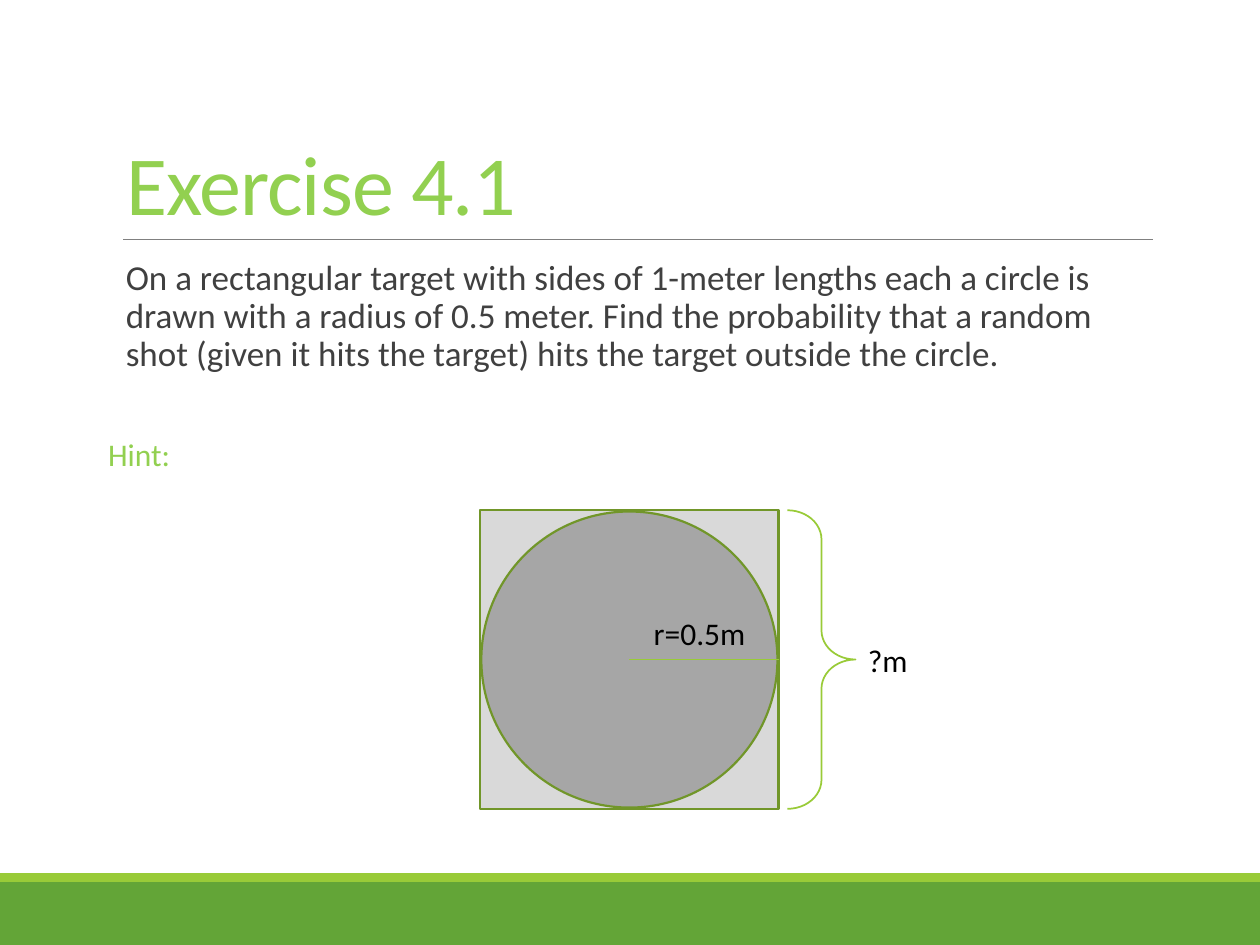
from lxml import etree
from pptx import Presentation
from pptx.dml.color import RGBColor
from pptx.enum.shapes import MSO_CONNECTOR as Connector, MSO_SHAPE as Preset
from pptx.enum.text import MSO_ANCHOR as Anchor, MSO_AUTO_SIZE as AutoSize, PP_ALIGN as Align
from pptx.oxml.ns import qn
from pptx.util import Inches, Pt

GREEN, LIME, DARK_GREEN, BRIGHT = "63A537", "99CB38", "719629", "92D050"


def color(value):
    return RGBColor.from_string(value)


def add_shape(page, preset, bounds, fill=None, line=None, width=1.25):
    shape = page.shapes.add_shape(preset, *map(Inches, bounds))
    shape.shadow.inherit = False
    if fill:
        shape.fill.solid()
        shape.fill.fore_color.rgb = color(fill)
    else:
        shape.fill.background()
    if line:
        shape.line.color.rgb = color(line)
        shape.line.width = Pt(width)
    else:
        shape.line.fill.background()
    return shape


def add_line(page, start, end, line, width):
    connector = page.shapes.add_connector(
        Connector.STRAIGHT, *map(Inches, (*start, *end)))
    connector.line.color.rgb = color(line)
    connector.line.width = Pt(width)
    etree.SubElement(connector._element.spPr, qn("a:effectLst"))


def write(box, text, size, ink):
    box.text_frame.text = text
    para = box.text_frame.paragraphs[0]
    para.alignment = Align.LEFT
    span = para.runs[0]
    span.font.name = "Calibri"
    span.font.size = Pt(size)
    span.font.color.rgb = color(ink)
    return para


def add_text(page, bounds, text, size=18, ink="000000", wrap=False):
    box = page.shapes.add_textbox(*map(Inches, bounds))
    box.text_frame.word_wrap = wrap
    return write(box, text, size, ink)


def add_footer(page, left, top, width, height):
    stripe = 0.07
    add_shape(page, Preset.RECTANGLE, (left, top + stripe, width, height - stripe), GREEN)
    add_shape(page, Preset.RECTANGLE, (left, top, width, stripe), LIME)


def add_title(page, left, top, width, height):
    title = page.shapes.title
    title.left, title.top, title.width, title.height = map(
        Inches, (left, top, width, height))
    para = write(title, "Exercise 4.1", 48, BRIGHT)
    para.line_spacing = 0.85
    para.runs[0].font._element.set("spc", "-50")
    title.text_frame.vertical_anchor = Anchor.BOTTOM
    title.text_frame.auto_size = AutoSize.NONE
    bottom = top + height
    add_line(page, (left + 0.08, bottom), (left + width, bottom), "808080", 0.5)


def add_question(page, left, top, width, height):
    question = add_text(
        page, (left, top, width, height),
        "On a rectangular target with sides of 1-meter lengths each a circle is "
        "drawn with a radius of 0.5 meter. Find the probability that a random "
        "shot (given it hits the target) hits the target outside the circle.",
        20, "404040", wrap=True)
    question.line_spacing = 0.9


def add_target(page, left, top, side):
    inset = 0.01
    right, middle = left + side, top + side / 2
    add_shape(page, Preset.RECTANGLE, (left, top, side, side), "D9D9D9", DARK_GREEN)
    add_shape(page, Preset.OVAL,
              (left + inset, top + inset, side - 2 * inset, side - 2 * inset),
              "A6A6A6", DARK_GREEN)
    brace = add_shape(page, Preset.RIGHT_BRACE, (right + 0.07, top, 0.54, side),
                      line=LIME, width=1)
    brace.adjustments[0] = 0.428
    brace.adjustments[1] = 0.5
    add_text(page, (right + 0.61, middle - 0.2, 0.53, 0.4), "?m")
    add_line(page, (left + side / 2, middle), (right, middle), LIME, 1)
    add_text(page, (right - 1.09, middle - 0.41, 1.17, 0.4), "r=0.5m", wrap=True)


def main():
    deck = Presentation()
    deck.slide_width, deck.slide_height = Inches(10), Inches(7.5)
    page = deck.slides.add_slide(deck.slide_layouts[5])
    add_footer(page, 0, 6.93, 10, 0.57)
    add_title(page, 0.9, 0.31, 8.25, 1.59)
    add_question(page, 0.9, 2.02, 8.25, 1.1)
    add_text(page, (0.76, 3.4, 0.7, 0.4), "Hint:", ink=BRIGHT)
    add_target(page, 3.81, 4.05, 2.37)
    deck.save("out.pptx")


if __name__ == "__main__":
    main()
